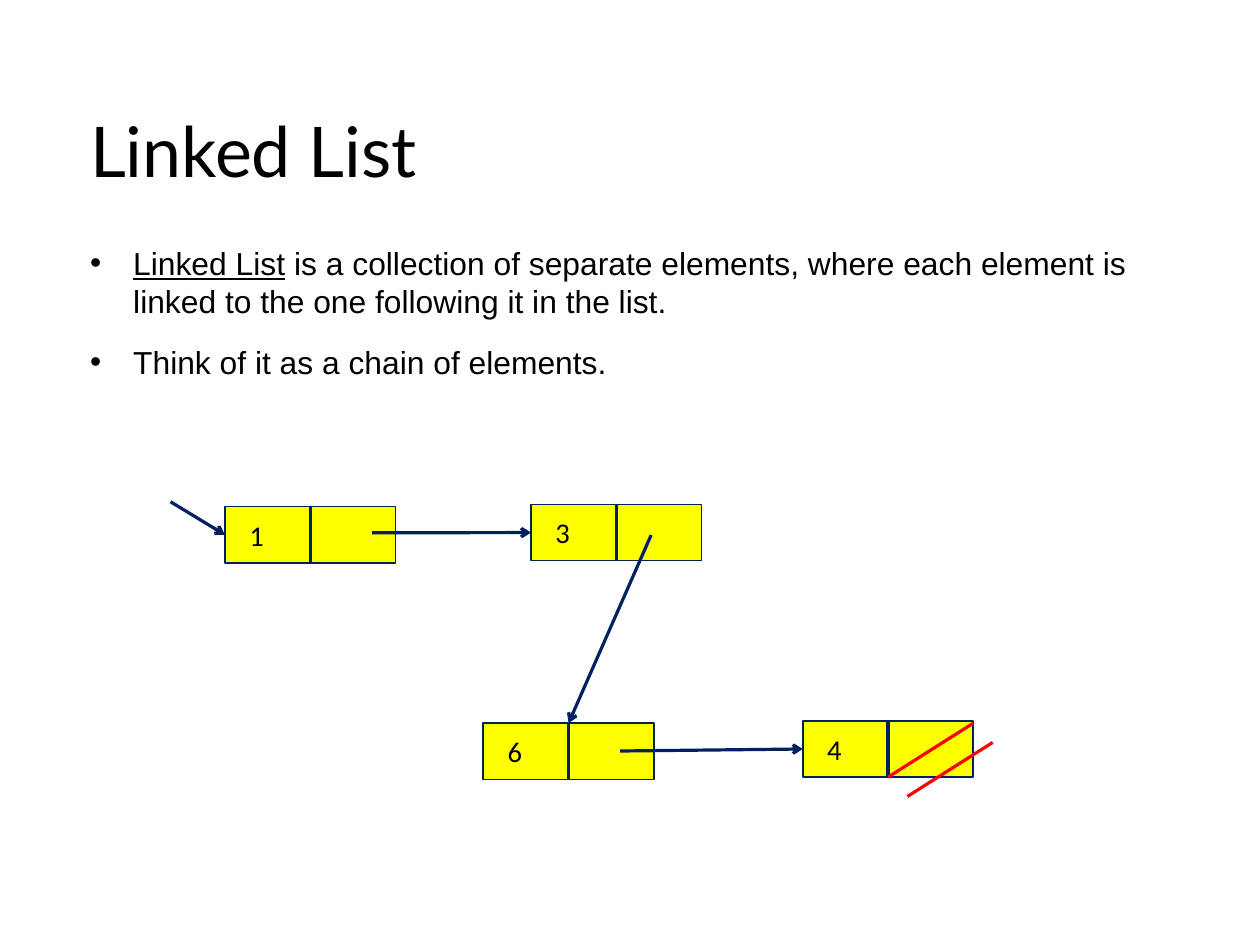
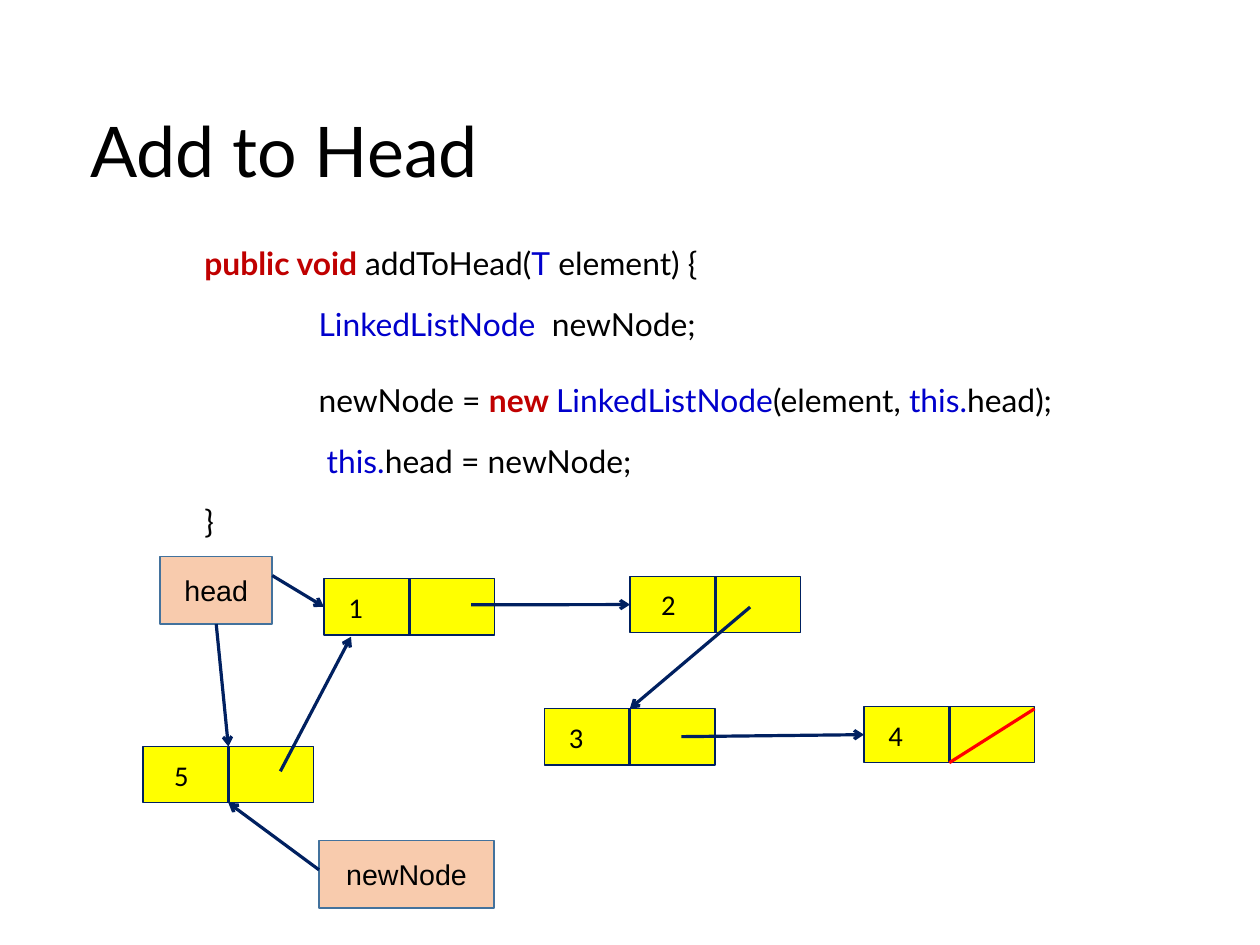
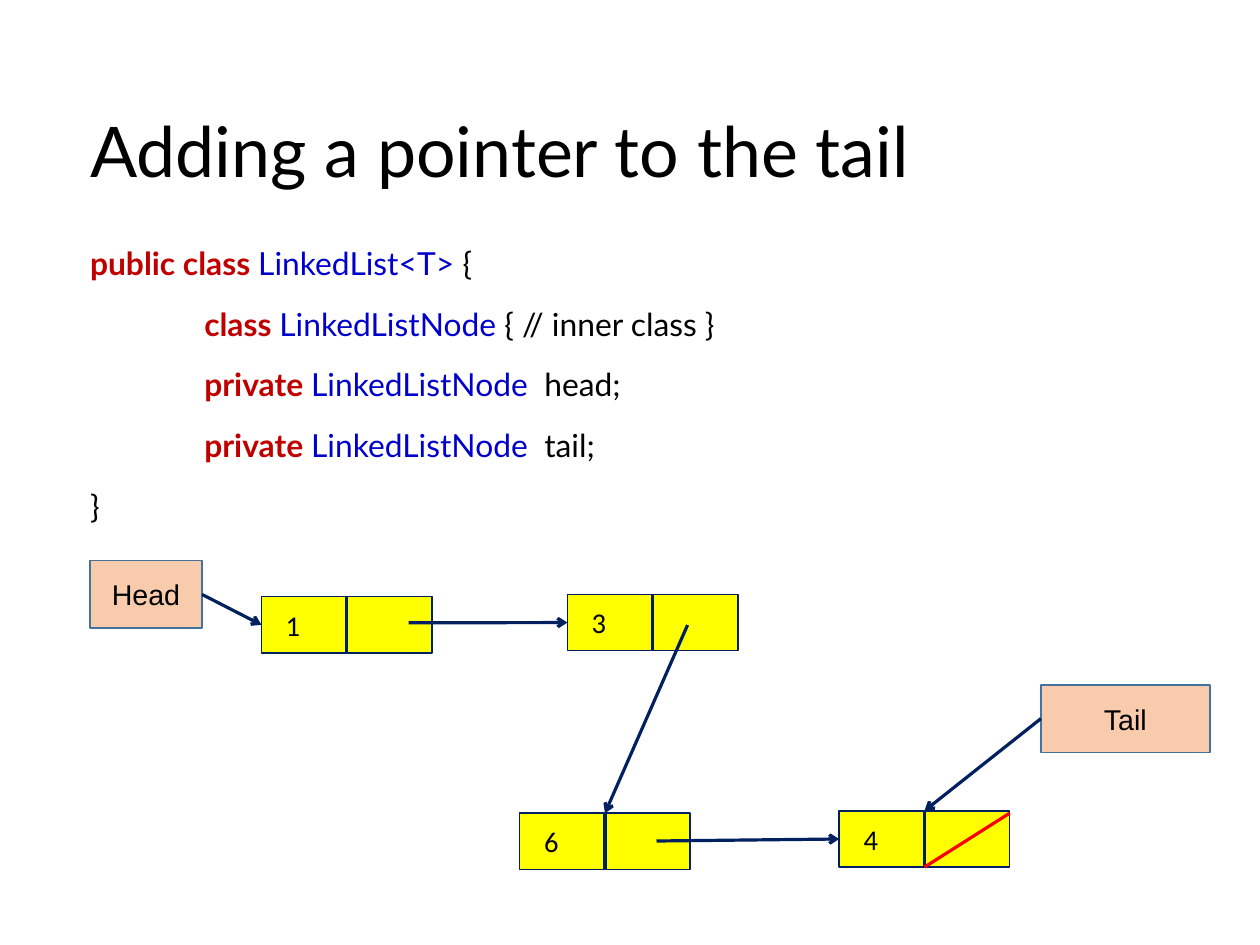
from lxml import etree
from pptx import Presentation
from pptx.dml.color import RGBColor
from pptx.enum.shapes import MSO_CONNECTOR, MSO_SHAPE
from pptx.enum.text import MSO_ANCHOR, MSO_AUTO_SIZE, PP_ALIGN
from pptx.oxml.ns import qn
from pptx.util import Cm, Pt

STRAIGHT = MSO_CONNECTOR.STRAIGHT
RECTANGLE = MSO_SHAPE.RECTANGLE
MIDDLE = MSO_ANCHOR.MIDDLE
TOP_ANCHOR = MSO_ANCHOR.TOP
NO_AUTOFIT = MSO_AUTO_SIZE.NONE
LEFT_ALIGN, CENTER = PP_ALIGN.LEFT, PP_ALIGN.CENTER

BLACK = RGBColor(0x00, 0x00, 0x00)
NAVY = RGBColor(0x00, 0x20, 0x60)
YELLOW = RGBColor(0xFF, 0xFF, 0x00)
RED = RGBColor(0xFF, 0x00, 0x00)
PEACH = RGBColor(0xF8, 0xCB, 0xAD)
STEEL = RGBColor(0x43, 0x72, 0x9D)
KEYWORD = RGBColor(0xC0, 0x00, 0x00)
TYPE = RGBColor(0x00, 0x00, 0xCC)

# Connection sites of a rectangle
TOP, LEFT, BOTTOM, RIGHT = range(4)

NODE_WIDTH, NODE_HEIGHT = Cm(3.79), Cm(1.25)
VALUE_INSET, WIDE_INSET = Cm(0.54), Cm(0.69)
LABEL_HEIGHT = Cm(1.5)
TAB = Cm(2.54)
PARA_GAP = Pt(14.2)
BLANK_LINE = Pt(24)


def spot(box, dx, dy):
    """A free point, measured from the top left corner of a box."""
    return box.left + dx, box.top + dy


def side(box, site):
    """The middle of a side of a box, with the joint a connector needs."""
    dx = {LEFT: 0, RIGHT: box.width}.get(site, box.width // 2)
    dy = {TOP: 0, BOTTOM: box.height}.get(site, box.height // 2)
    return *spot(box, dx, dy), box, site


class LectureDeck:
    def __init__(self):
        self.deck = Presentation()
        self.deck.slide_width, self.deck.slide_height = Cm(28), Cm(21)
        self.page = None

    def add_page(self, title):
        self.page = self.deck.slides.add_slide(self.deck.slide_layouts[1])
        frame = self.place(self.page.shapes.title, Cm(1.9), Cm(23.5), Cm(2.85), MIDDLE)
        frame.text = title
        para = frame.paragraphs[0]
        para.alignment = LEFT_ALIGN
        self.style(para.runs[0], "Lato", 44)

    def place(self, holder, top, width, height, anchor):
        holder.left, holder.top = Cm(2), top
        holder.width, holder.height = width, height
        frame = holder.text_frame
        frame.margin_left = frame.margin_right = 0
        frame.margin_top = frame.margin_bottom = 0
        frame.word_wrap = True
        frame.auto_size = NO_AUTOFIT
        frame.vertical_anchor = anchor
        return frame

    def style(self, span, font, size, color=BLACK, bold=False):
        span.font.name, span.font.size = font, Pt(size)
        span.font.color.rgb, span.font.bold = color, bold

    def body_paras(self, count):
        """Yield the paragraphs of the body placeholder."""
        frame = self.place(self.page.placeholders[1], Cm(5.42), Cm(24.6), Cm(13.23), TOP_ANCHOR)
        for index in range(count):
            para = frame.add_paragraph() if index else frame.paragraphs[0]
            para.space_before, para.space_after = 0, PARA_GAP
            yield para

    def indent(self, para, margin, first):
        props = para._p.get_or_add_pPr()
        props.set("marL", str(margin))
        props.set("indent", str(first))
        return props

    def add_spans(self, para, spans, font):
        for text, color in spans:
            span = para.add_run()
            span.text = text
            self.style(span, font, 20, color, color == KEYWORD)

    def add_bullets(self, items):
        for para, spans in zip(self.body_paras(len(items)), items):
            props = self.indent(para, Cm(0.96), -Cm(0.96))
            etree.SubElement(props, qn("a:buFont")).set("typeface", "Arial")
            etree.SubElement(props, qn("a:buChar")).set("char", "•")
            self.add_spans(para, spans, "Arial")

    def add_code(self, lines, blank_after=None):
        for index, para in enumerate(self.body_paras(len(lines))):
            props = self.indent(para, 0, 0)
            props.set("defTabSz", str(TAB))
            etree.SubElement(props, qn("a:buNone"))
            if index == blank_after:
                para.space_after = BLANK_LINE
            self.add_spans(para, lines[index], "Lato")

    def add_box(self, left, top, width, height, text, font, fill, line, align):
        box = self.page.shapes.add_shape(RECTANGLE, left, top, width, height)
        box.shadow.inherit = False
        box.fill.solid()
        box.fill.fore_color.rgb = fill
        box.line.color.rgb, box.line.width = line, Pt(1)
        frame = box.text_frame
        frame.text, frame.vertical_anchor = text, MIDDLE
        frame.paragraphs[0].alignment = align
        self.style(frame.paragraphs[0].runs[0], font, 18)
        return box

    def add_label(self, left, top, width, text):
        return self.add_box(left, top, width, LABEL_HEIGHT, text, "Arial", PEACH, STEEL, CENTER)

    def add_node(self, left, top, value, inset=VALUE_INSET):
        node = self.add_box(left, top, NODE_WIDTH, NODE_HEIGHT, value,
                            "Calibri", YELLOW, NAVY, LEFT_ALIGN)
        node.text_frame.margin_left = inset
        self.add_line(side(node, TOP), side(node, BOTTOM))
        return node

    def add_line(self, start, end, color=NAVY):
        line = self.page.shapes.add_connector(STRAIGHT, *start[:2], *end[:2])
        if start[2:]:
            line.begin_connect(*start[2:])
        if end[2:]:
            line.end_connect(*end[2:])
        line.line.color.rgb, line.line.width = color, Pt(2)
        etree.SubElement(line._element.spPr, qn("a:effectLst"))
        return line

    def add_arrow(self, start, end):
        outline = self.add_line(start, end).line._get_or_add_ln()
        etree.SubElement(outline, qn("a:tailEnd")).set("type", "arrow")

    def add_strike(self, node, shift=0):
        """Mark the empty pointer of the last node."""
        self.add_line(spot(node, node.width + shift, Cm(0.05) + shift),
                      spot(node, node.width // 2 + shift, node.height + shift), RED)

    def add_chain(self, left, top, values, drop, second_inset=VALUE_INSET):
        """Two nodes above and two below; drop leads from the first to the third."""
        rise = Cm(0.05)
        third_left, third_top = left + drop[0], top + drop[1]
        first = self.add_node(left, top, values[0])
        second = self.add_node(left + Cm(6.8), top - rise, values[1], second_inset)
        third = self.add_node(third_left, third_top, values[2])
        last = self.add_node(third_left + Cm(7.1), third_top - rise, values[3])
        self.add_arrow(spot(first, Cm(3.27), Cm(0.58)), side(second, LEFT))
        self.add_arrow(spot(second, Cm(2.67), Cm(0.68)), side(third, TOP))
        self.add_arrow(spot(third, Cm(3.04), Cm(0.62)), side(last, LEFT))
        self.add_strike(last)
        return first, last


def main():
    lecture = LectureDeck()
    long_drop = Cm(5.74), Cm(4.81)

    # Linked list
    lecture.add_page("Linked List")
    lecture.add_bullets([
        [("Linked List", BLACK),
         (" is a collection of separate elements, where each element is linked "
          "to the one following it in the list.", BLACK)],
        [("Think of it as a chain of elements.", BLACK)],
    ])
    term = lecture.page.placeholders[1].text_frame.paragraphs[0].runs[0]
    term.font.underline = True
    first, last = lecture.add_chain(Cm(5), Cm(11.26), "1364", long_drop)
    lecture.add_arrow((Cm(3.79), Cm(11.15)), side(first, LEFT))
    lecture.add_strike(last, Cm(0.43))

    # Add to head
    lecture.add_page("Add to Head")
    lecture.add_code([
        [("\tpublic void ", KEYWORD), ("addToHead(", BLACK), ("T", TYPE),
         (" element) {", BLACK)],
        [("\t\tLinkedListNode  ", TYPE), ("newNode;", BLACK)],
        [("\t\tnewNode = ", BLACK), ("new ", KEYWORD), ("LinkedListNode", TYPE),
         ("(element, ", BLACK), ("this.", TYPE), ("head);", BLACK)],
        [("\t\t this.", TYPE), ("head = newNode;", BLACK)],
        [("\t}", BLACK)],
    ], blank_after=1)
    first, last = lecture.add_chain(Cm(7.2), Cm(12.86), "1234", (Cm(4.9), Cm(2.89)), WIDE_INSET)
    added = lecture.add_node(Cm(3.18), Cm(16.59), "5", WIDE_INSET)
    head = lecture.add_label(Cm(3.56), Cm(12.37), Cm(2.49), "head")
    new_node = lecture.add_label(Cm(7.09), Cm(18.68), Cm(3.89), "newNode")
    lecture.add_arrow(spot(head, head.width, Cm(0.42)), side(first, LEFT))
    lecture.add_arrow(side(head, BOTTOM), side(added, TOP))
    lecture.add_arrow(spot(added, Cm(3.05), Cm(0.55)), spot(first, Cm(0.6), Cm(1.29)))
    lecture.add_arrow(spot(new_node, 0, Cm(0.65)), side(added, BOTTOM))

    # Pointer to the tail
    lecture.add_page("Adding a pointer to the tail")
    lecture.add_code([
        [("public class ", KEYWORD), ("LinkedList<T> ", TYPE), ("{", BLACK)],
        [("\tclass ", KEYWORD), ("LinkedListNode ", TYPE), ("{ // inner class }", BLACK)],
        *([("\tprivate ", KEYWORD), ("LinkedListNode", TYPE), (f"  {field};", BLACK)]
          for field in ("head", "tail")),
        [("}", BLACK)],
    ])
    first, last = lecture.add_chain(Cm(5.81), Cm(13.26), "1364", long_drop)
    head = lecture.add_label(Cm(2), Cm(12.46), Cm(2.49), "Head")
    tail = lecture.add_label(Cm(23.13), Cm(15.22), Cm(3.76), "Tail")
    lecture.add_arrow(side(head, RIGHT), side(first, LEFT))
    lecture.add_arrow(side(tail, LEFT), side(last, TOP))

    lecture.deck.save("out.pptx")


if __name__ == "__main__":
    main()
